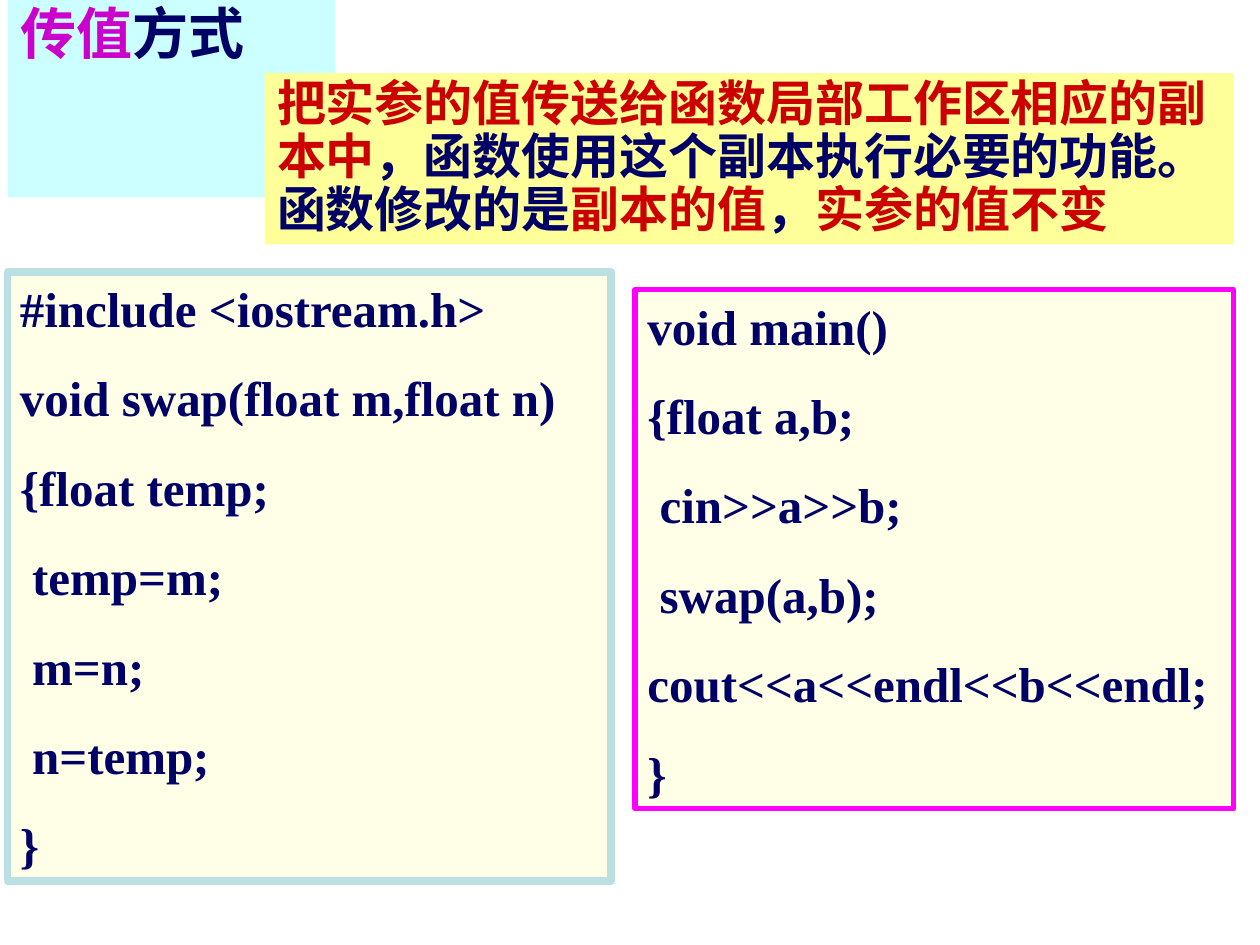
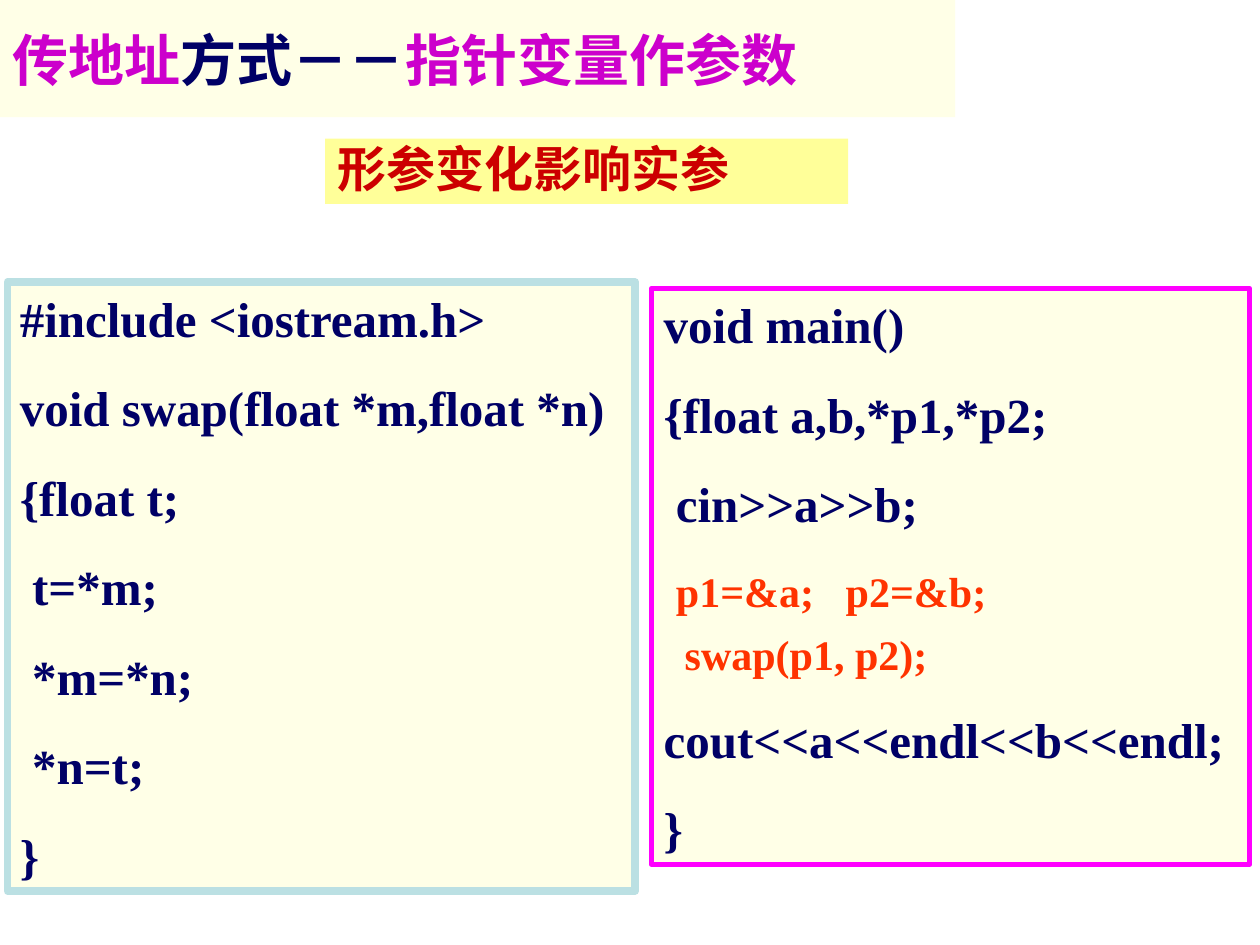
from lxml import etree
from pptx import Presentation
from pptx.dml.color import RGBColor
from pptx.enum import text
from pptx.oxml import ns
from pptx.util import Pt

NAVY, PURPLE, RED, ORANGE = "000066", "CC00CC", "CC0000", "FF3300"
CREAM, YELLOW, CYAN = "FFFFE7", "FFFF99", "CCFFFF"
TEAL, MAGENTA = "BBE0E3", "FF00FF"
CJK, SERIF = "Noto Sans CJK SC", "Times New Roman"
TOP, MIDDLE = text.MSO_ANCHOR.TOP, text.MSO_ANCHOR.MIDDLE


def color(hex_code):
    return RGBColor.from_string(hex_code)


def fill_panel(panel, area, background, paragraphs, font, anchor=TOP):
    """Each paragraph is (space before, line spacing, [(words, size, colour)])."""
    panel.left, panel.top, panel.width, panel.height = (Pt(v) for v in area)
    panel.fill.solid()
    panel.fill.fore_color.rgb = color(background)
    frame = panel.text_frame
    frame.word_wrap = True
    frame.vertical_anchor = anchor
    frame.auto_size = (text.MSO_AUTO_SIZE.SHAPE_TO_FIT_TEXT if anchor == TOP
                       else text.MSO_AUTO_SIZE.NONE)
    frame.margin_left = frame.margin_right = Pt(7.2)
    frame.margin_top = frame.margin_bottom = Pt(3.6)
    for index, (before, spacing, runs) in enumerate(paragraphs):
        line = frame.add_paragraph() if index else frame.paragraphs[0]
        line.alignment = text.PP_ALIGN.LEFT
        line.space_before = Pt(before)
        line.line_spacing = spacing
        for words, size, ink in runs:
            run = line.add_run()
            run.text = words
            run.font.size = Pt(size)
            run.font.bold = True
            run.font.name = font
            run.font.color.rgb = color(ink)
            east_asian = etree.SubElement(run.font._element, ns.qn("a:ea"))
            east_asian.set("typeface", font)


# Content: title, key point, and the two halves of each program
lessons = [
    {
        "title": ((4.3, 0, 187.2, 41.8), CYAN, TOP, (8, 0.9),
                  [("传值", PURPLE), ("方式", NAVY)]),
        "point": ((151.2, 41.8, 553.7, 97.9),
                  [("把实参的值传送给函数局部工作区相应的副本中", RED),
                   ("，函数使用这个副本执行必要的功能。函数修改的是", NAVY),
                   ("副本的值", RED), ("，", NAVY), ("实参的值不变", RED)]),
        "swap": ((4.3, 155.5, 344.9, 347.8),
                 ["#include <iostream.h>", "void swap(float m,float n)",
                  "{float temp;", " temp=m;", " m=n;", " n=temp;", "}"]),
        "main": ((362.9, 165.6, 342, 296.6),
                 ["void main()", "{float a,b;", " cin>>a>>b;", " swap(a,b);",
                  "cout<<a<<endl<<b<<endl;", "}"]),
    },
    {
        "title": ((0, 0, 545.8, 67), CREAM, MIDDLE, (1, 1.0),
                  [("传地址", PURPLE), ("方式－－", NAVY), ("指针变量作参数", PURPLE)]),
        "point": ((185.8, 79.2, 298.8, 37.4), [("形参变化影响实参", RED)]),
        "swap": ((4.3, 161.3, 358.6, 347.8),
                 ["#include <iostream.h>", "void swap(float *m,float *n)",
                  "{float t;", " t=*m;", " *m=*n;", " *n=t;", "}"]),
        "main": ((372.2, 164.9, 342, 329),
                 ["void main()", "{float a,b,*p1,*p2;", " cin>>a>>b;",
                  (15, 1.0, [(" ", 28, NAVY), ("p1=&a;   p2=&b;", 24, ORANGE)]),
                  (6, 1.0, [("  swap(p1, p2);", 24, ORANGE)]),
                  "cout<<a<<endl<<b<<endl;", "}"]),
    },
]

deck = Presentation()
deck.slide_width, deck.slide_height = Pt(720), Pt(540)
title_only = deck.slide_layouts[5]

for lesson in lessons:
    slide = deck.slides.add_slide(title_only)

    # Title band
    area, background, anchor, (before, spacing), parts = lesson["title"]
    heading = [(before, spacing, [(words, 32, ink) for words, ink in parts])]
    fill_panel(slide.shapes.title, area, background, heading, CJK, anchor)

    # Key point
    area, parts = lesson["point"]
    point = [(7, 0.9, [(words, 28, ink) for words, ink in parts])]
    fill_panel(slide.shapes.add_textbox(0, 0, 0, 0), area, YELLOW, point, CJK)

    # Code panels: plain strings are ordinary code lines
    for half, border, weight in (("main", MAGENTA, 3), ("swap", TEAL, 4.5)):
        area, lines = lesson[half]
        code = [(17.5, 1.0, [(line, 28, NAVY)]) if isinstance(line, str) else line
                for line in lines]
        panel = slide.shapes.add_textbox(0, 0, 0, 0)
        fill_panel(panel, area, CREAM, code, SERIF)
        panel.line.color.rgb = color(border)
        panel.line.width = Pt(weight)

deck.save("out.pptx")
